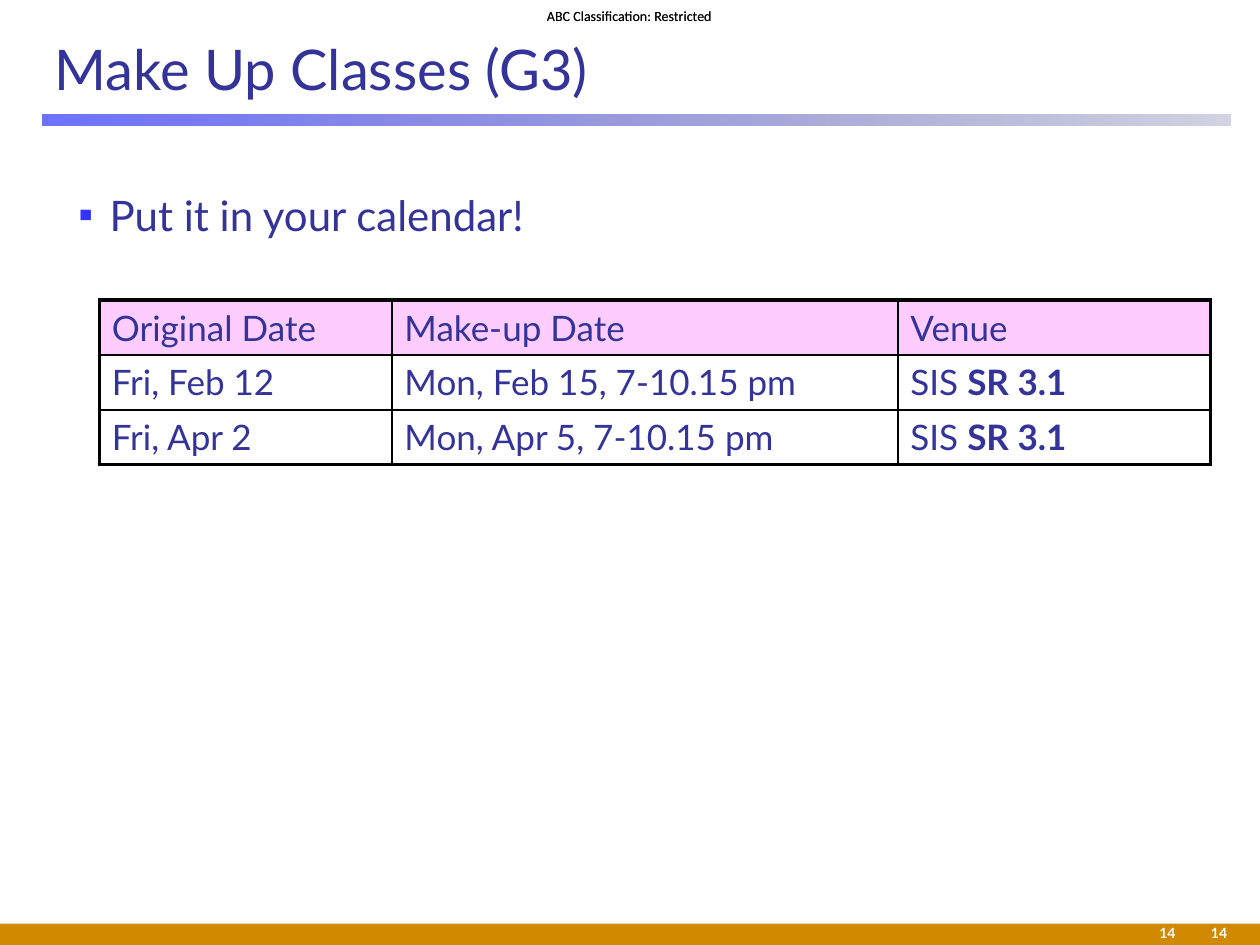
from dataclasses import dataclass

from lxml.etree import SubElement
from pptx import Presentation
from pptx.dml.color import RGBColor
from pptx.enum.shapes import MSO_SHAPE as Shape
from pptx.enum.text import MSO_ANCHOR as Anchor, MSO_AUTO_SIZE as Auto, PP_ALIGN as Align
from pptx.oxml.ns import qn
from pptx.util import Cm, Pt

COLORS = {
    "ink": "333399", "bullet": "3333FF", "head": "FFCCFF", "line": "000000",
    "foot": "D18A00", "white": "FFFFFF", "gray": "333333",
    "start": "464AFC", "end": "202275",
}
THIN, THICK = 1, 2.25


@dataclass
class Box:
    x: float
    y: float
    w: float
    h: float

    def place(self) -> tuple:
        return Cm(self.x), Cm(self.y), Cm(self.w), Cm(self.h)


@dataclass
class Label:
    text: str
    box: Box
    font: str
    color: str
    align: Align
    bold: bool = False


@dataclass
class Day:
    date: str
    makeup: str
    site: str
    room: str = ""


LABELS = [
    Label("ABC Classification: Restricted", Box(10.62, 0, 4.14, 0.64), "Calibri", tone, Align.CENTER)
    for tone in ("gray", "line")
] + [
    Label("14", Box(x, 18.62, 0.8, 0.36), "Lato", "white", Align.RIGHT, True)
    for x in (22.9, 23.94)
]
DAYS = [
    Day("Original Date", "Make-up Date", "Venue"),
    Day("Fri, Feb 12", "Mon, Feb 15, 7-10.15 pm", "SIS ", "SR 3.1"),
    Day("Fri, Apr 2", "Mon, Apr 5, 7-10.15 pm", "SIS ", "SR 3.1"),
]


def rgb(name: str) -> RGBColor:
    return RGBColor.from_string(COLORS[name])


def write(para, text: str, *, size: float, font: str = "Lato",
          color: str = "ink", bold: bool = False, align: Align = Align.LEFT) -> None:
    """Add one formatted run to a paragraph."""
    run = para.add_run()
    run.text = text
    run.font.name, run.font.size, run.font.bold = font, Pt(size), bold
    run.font.color.rgb = rgb(color)
    para.alignment = align


def setup(frame, inset: float, anchor: Anchor) -> None:
    frame.word_wrap, frame.auto_size = True, Auto.NONE
    frame.vertical_anchor = anchor
    frame.margin_left = frame.margin_right = Cm(inset)
    frame.margin_top = frame.margin_bottom = Cm(inset)


def add_bar(slide, box: Box):
    bar = slide.shapes.add_shape(Shape.RECTANGLE, *box.place())
    bar.shadow.inherit = False
    bar.line.fill.background()
    return bar


def fade(bar) -> None:
    """Fill a bar from left to right with two see-through colours."""
    bar.fill.gradient()
    bar.fill.gradient_angle = 0
    for stop, name, alpha in zip(bar.fill.gradient_stops, ("start", "end"), (78, 20)):
        stop.color.rgb = rgb(name)
    tints = bar._element.spPr.iter(qn("a:srgbClr"))
    for tint, alpha in zip(list(tints), (78, 20)):
        SubElement(tint, qn("a:alpha"), val=str(alpha * 1000))


def add_label(slide, label: Label) -> None:
    frame = slide.shapes.add_textbox(*label.box.place()).text_frame
    setup(frame, 0, Anchor.MIDDLE)
    write(frame.paragraphs[0], label.text, size=8, font=label.font,
          color=label.color, bold=label.bold, align=label.align)


def fill_holder(holder, box: Box, text: str, size: float, anchor: Anchor):
    holder.left, holder.top, holder.width, holder.height = box.place()
    setup(holder.text_frame, 0.25, anchor)
    para = holder.text_frame.paragraphs[0]
    para.space_before = Pt(0)
    write(para, text, size=size)
    return para


def add_bullet(para) -> None:
    props = para._p.get_or_add_pPr()
    props.set("marL", str(Cm(1.11)))
    props.set("indent", str(-Cm(0.63)))
    tint = SubElement(props, qn("a:buClr"))
    SubElement(tint, qn("a:srgbClr"), val=COLORS["bullet"])
    SubElement(props, qn("a:buFont"), typeface="Arial")
    SubElement(props, qn("a:buChar"), char="▪")


def edge(cell, sides: dict[str, bool]) -> None:
    """Draw the cell borders, thick where the side is on the outside."""
    props = cell._tc.get_or_add_tcPr()
    for side, outer in sides.items():
        line = SubElement(props, qn(f"a:ln{side}"), w=str(Pt(THICK if outer else THIN)))
        fill = SubElement(line, qn("a:solidFill"))
        SubElement(fill, qn("a:srgbClr"), val=COLORS["line"])


def add_days(slide, box: Box, widths: list[float]) -> None:
    rows, cols = len(DAYS), len(widths)
    table = slide.shapes.add_table(rows, cols, *box.place()).table
    for col, width in zip(table.columns, widths):
        col.width = Cm(width)
    for r, day in enumerate(DAYS):
        for c, text in enumerate((day.date, day.makeup, day.site)):
            cell = table.cell(r, c)
            edge(cell, {"L": c == 0, "R": c == cols - 1, "T": r == 0, "B": r == rows - 1})
            if r == 0:
                cell.fill.solid()
                cell.fill.fore_color.rgb = rgb("head")
            else:
                cell.fill.background()
            write(cell.text_frame.paragraphs[0], text, size=20)
        if day.room:
            write(cell.text_frame.paragraphs[0], day.room, size=20, bold=True)


def main() -> None:
    deck = Presentation()
    deck.slide_width, deck.slide_height = Cm(25.4), Cm(19.05)
    slide = deck.slides.add_slide(deck.slide_layouts[1])

    foot = add_bar(slide, Box(0, 18.62, 25.4, 0.43))
    foot.fill.solid()
    foot.fill.fore_color.rgb = rgb("foot")
    fade(add_bar(slide, Box(0.85, 2.32, 23.96, 0.22)))
    for label in LABELS:
        add_label(slide, label)

    title, body = slide.placeholders
    fill_holder(title, Box(0.85, 0.43, 23.92, 1.9), "Make Up Classes (G3)", 32, Anchor.MIDDLE)
    add_bullet(fill_holder(body, Box(0.85, 3.56, 23.94, 14.42),
                           "Put it in your calendar!", 24, Anchor.TOP))
    add_days(slide, Box(2, 6.05, 22.4, 3.3), [5.9, 10.2, 6.3])
    deck.save("out.pptx")


if __name__ == "__main__":
    main()
